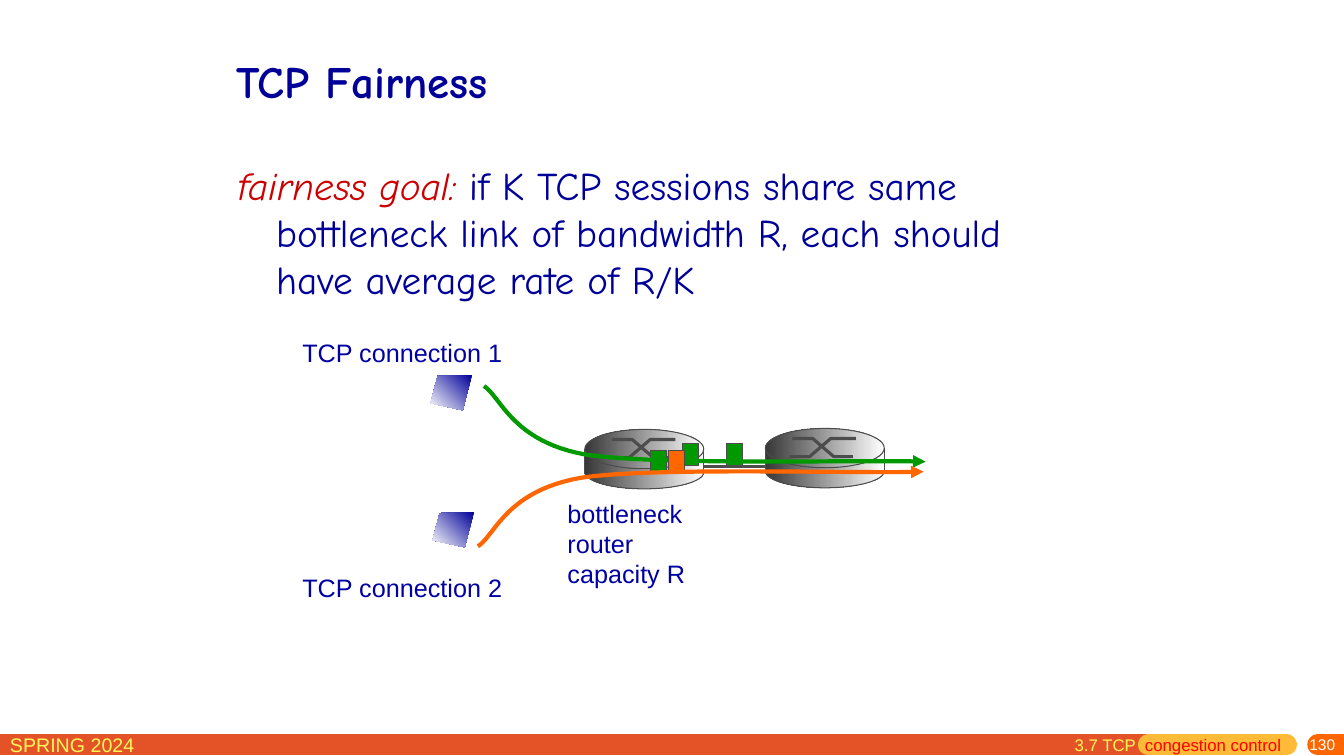
from pptx import Presentation
from pptx.dml.color import RGBColor
from pptx.enum.shapes import MSO_CONNECTOR as CONN, MSO_SHAPE as SHAPE
from pptx.enum.text import MSO_ANCHOR as ANCHOR, MSO_AUTO_SIZE as AUTO, PP_ALIGN as ALIGN
from pptx.oxml.ns import qn
from pptx.util import Inches, Pt
from lxml.etree import SubElement

NAVY, LABEL, GRAY = "000099", "0000A3", "4C4C4C"
GREEN, ORANGE, YELLOW = "009900", "FF6600", "FFF65C"
METAL = ("373737", "FFFFFF")


def rgb(color):
    return RGBColor.from_string(color)


def box(*lengths):
    return [Inches(v) for v in lengths]


def add_run(p, text, size, color, font="Arial", bold=False, italic=False):
    r = p.add_run()
    r.text = text
    f = r.font
    f.name, f.size, f.bold, f.italic = font, Pt(size), bold, italic
    f.color.rgb = rgb(color)


def style_line(sp, color, width):
    sp.line.color.rgb = rgb(color)
    sp.line.width = Pt(width)


def gradient(sp, colors, angle):
    sp.fill.gradient()
    sp.fill.gradient_angle = angle
    for stop, color in zip(sp.fill.gradient_stops, colors):
        stop.color.rgb = rgb(color)


def add_text(s, at, lines, size, color, wrap=False):
    tb = s.shapes.add_textbox(*box(*at))
    tf = tb.text_frame
    tf.word_wrap = wrap
    for i, line in enumerate(lines):
        p = tf.add_paragraph() if i else tf.paragraphs[0]
        add_run(p, line, size, color)
    return tf


def add_line(s, start, end, color, width, cap="flat"):
    ln = s.shapes.add_connector(CONN.STRAIGHT, *box(*start, *end))
    style_line(ln, color, width)
    ln.line._get_or_add_ln().set("cap", cap)
    SubElement(ln._element.spPr, qn("a:effectLst"))


def add_shape(s, kind, at, line=None):
    sp = s.shapes.add_shape(kind, *box(*at))
    sp.shadow.inherit = False
    if line:
        style_line(sp, line, 0.75)
    else:
        sp.line.fill.background()
    return sp


def add_outline(s, points, close=False):
    pts = [box(*pt) for pt in points]
    fb = s.shapes.build_freeform(*pts[0])
    fb.add_line_segments(pts[1:], close=close)
    sp = fb.convert_to_shape()
    sp.shadow.inherit = False
    return sp


def bezier(a, b, c, d, steps=24):
    for i in range(1, steps + 1):
        t = i / steps
        u = 1 - t
        yield tuple(u**3 * w + 3 * u * u * t * x + 3 * u * t * t * y + t**3 * z
                    for w, x, y, z in zip(a, b, c, d))


def add_flow(s, knots, color):
    points = [knots[0]]
    for i in range(0, len(knots) - 1, 3):
        points.extend(bezier(*knots[i:i + 4]))
    sp = add_outline(s, points)
    sp.fill.background()
    style_line(sp, color, 3)
    SubElement(sp.line._get_or_add_ln(), qn("a:tailEnd"), type="triangle")


def add_router(s, x, y):
    for kind, dy, h, line in ((SHAPE.OVAL, 0.26, 0.33, GRAY),
                              (SHAPE.RECTANGLE, 0.23, 0.2, None),
                              (SHAPE.OVAL, 0, 0.39, GRAY)):
        gradient(add_shape(s, kind, (x, y + dy, 1.18, h), line), METAL, 0)
    low, high = y + 0.28, y + 0.1
    for first, second, xs in ((low, high, (0.24, 0.44, 0.65, 0.9)),
                              (high, low, (0.27, 0.47, 0.68, 0.87))):
        ys = (first, first, second, second)
        sp = add_outline(s, [(x + dx, py) for dx, py in zip(xs, ys)])
        sp.fill.background()
        style_line(sp, GRAY, 2.25)
    for side in (x, x + 1.18):
        add_line(s, (side, y + 0.19), (side, y + 0.44), GRAY, 0.75)


def add_packet(s, x, y, color):
    sp = add_shape(s, SHAPE.RECTANGLE, (x, y, 0.16, 0.22), GRAY)
    sp.fill.solid()
    sp.fill.fore_color.rgb = rgb(color)


def add_screen(s, x, y):
    corners = ((0.41, 0), (0.07, 0.01), (0, 0.28), (0.32, 0.35))
    sp = add_outline(s, [(x + dx, y + dy) for dx, dy in corners], close=True)
    sp.line.fill.background()
    gradient(sp, (NAVY, "FFFFFF"), 225)


def place(ph, at, anchor):
    ph.left, ph.top, ph.width, ph.height = box(*at)
    tf = ph.text_frame
    tf.auto_size, tf.vertical_anchor = AUTO.NONE, anchor
    p = tf.paragraphs[0]
    p.alignment, p.space_before, p.line_spacing = ALIGN.LEFT, Pt(0), 1.0
    return p


def add_headings(s):
    p = place(s.shapes.title, (2.25, 0.17, 8.5, 1.25), ANCHOR.MIDDLE)
    add_run(p, "TCP Fairness", 32, NAVY, "Comic Neue", bold=True)
    p = place(s.placeholders[1], (2.26, 1.55, 8.33, 2.4), ANCHOR.TOP)
    pPr = p._p.get_or_add_pPr()
    pPr.set("marL", str(Inches(0.38)))
    pPr.set("indent", str(Inches(-0.38)))
    SubElement(pPr, qn("a:buNone"))
    add_run(p, "fairness goal:", 28, "CC0000", "Comic Neue", italic=True)
    add_run(p, " if K TCP sessions share same bottleneck link of bandwidth R, "
            "each should have average rate of R/K", 28, NAVY, "Comic Neue")


def add_footer(s):
    for x1, x2, color, cap in ((0, 11.39, "E45327", "flat"),
                               (11.39, 12.76, "FFBA37", "rnd"),
                               (13.07, 13.33, ORANGE, "rnd")):
        add_line(s, (x1, 7.39), (x2, 7.39), color, 15, cap)
    add_text(s, (0, 7.22, 2.29, 0.31), ["SPRING 2024"], 14, YELLOW, wrap=True)
    tf = add_text(s, (10.75, 7.32, 2.59, 0.18), ["130"], 11, "FFFFFF", wrap=True)
    tf.margin_top, tf.vertical_anchor = 0, ANCHOR.MIDDLE
    tf.paragraphs[0].alignment = ALIGN.RIGHT
    tf = add_text(s, (10.56, 7.24, 2.33, 0.31), ["3.7 TCP "], 12, YELLOW, wrap=True)
    add_run(tf.paragraphs[0], " congestion control", 12, "FF0000")


def add_network(s):
    add_line(s, (6.98, 4.63), (7.59, 4.63), GRAY, 2.25)
    add_router(s, 5.8, 4.26)
    add_router(s, 7.59, 4.25)
    for x, y in ((7.21, 4.4), (6.45, 4.47), (6.77, 4.4)):
        add_packet(s, x, y, GREEN)
    add_flow(s, [(4.8, 3.83), (4.97, 3.94), (5.08, 4.38), (5.81, 4.51),
                 (6.54, 4.62), (8.48, 4.56), (9.18, 4.58)], GREEN)
    add_packet(s, 6.63, 4.47, ORANGE)
    add_flow(s, [(4.74, 5.42), (4.91, 5.31), (5.02, 4.87), (5.76, 4.74),
                 (6.49, 4.63), (8.45, 4.7), (9.16, 4.68)], ORANGE)
    add_screen(s, 4.27, 3.72)
    add_screen(s, 4.29, 5.08)
    for at, lines in (((2.9, 3.3, 2.19, 0.4), ["TCP connection 1"]),
                      ((5.53, 4.89, 1.37, 1), ["bottleneck", "router", "capacity R"]),
                      ((2.9, 5.63, 2.19, 0.4), ["TCP connection 2"])):
        add_text(s, at, lines, 18, LABEL)


def main():
    prs = Presentation()
    prs.slide_width, prs.slide_height = box(13.33, 7.5)
    s = prs.slides.add_slide(prs.slide_layouts[1])
    add_footer(s)
    add_headings(s)
    add_network(s)
    prs.save("out.pptx")


if __name__ == "__main__":
    main()
